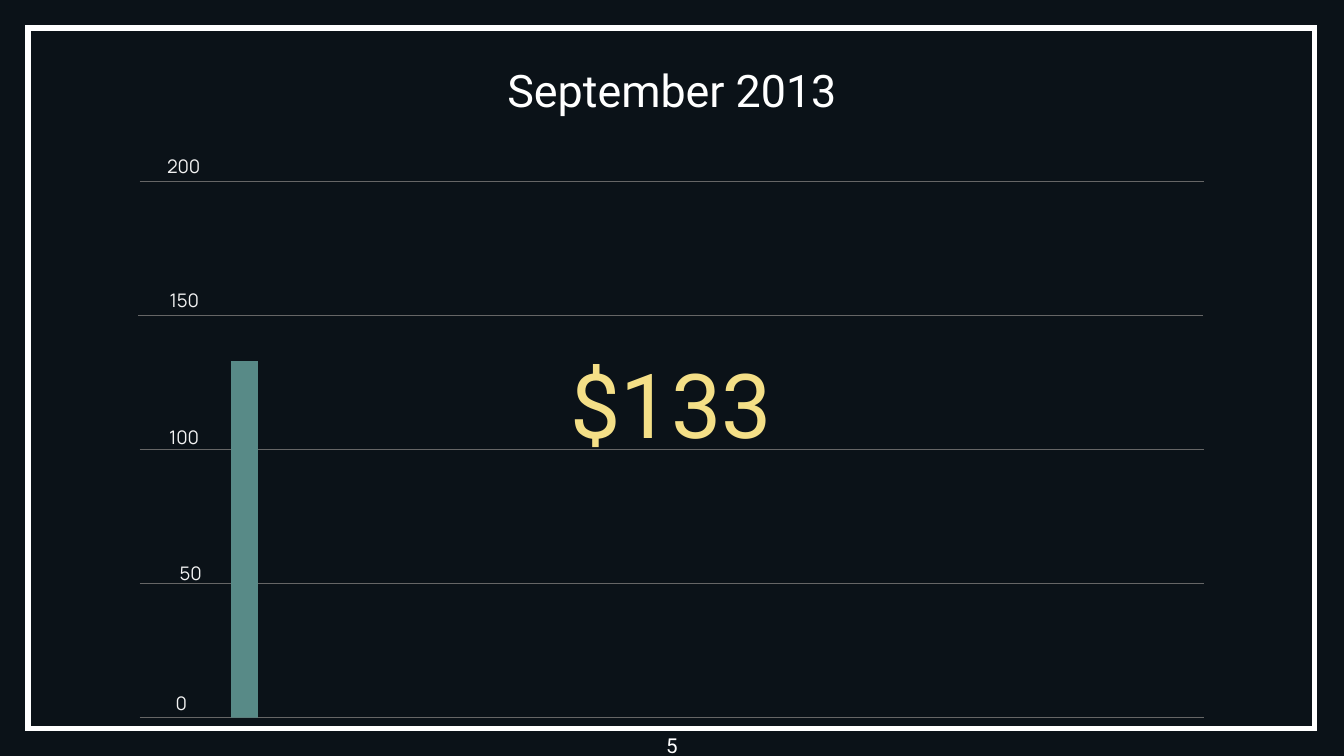
from dataclasses import dataclass

import pptx
import pptx.dml.color
import pptx.enum.shapes
import pptx.enum.text
import pptx.oxml
import pptx.oxml.ns
import pptx.util
from pptx.dml.color import RGBColor
from pptx.util import Inches

BACKGROUND = RGBColor(0x11, 0x11, 0x11)
NAVY = RGBColor(0x02, 0x15, 0x26)
WHITE = RGBColor(0xFF, 0xFF, 0xFF)
GRID_GRAY = RGBColor(0x66, 0x66, 0x66)
LABEL_GRAY = RGBColor(0xF3, 0xF3, 0xF3)
TEAL = RGBColor(0x58, 0x8A, 0x87)
YELLOW = RGBColor(0xF4, 0xDF, 0x87)

ALIGN = pptx.enum.text.PP_ALIGN
ANCHOR = pptx.enum.text.MSO_ANCHOR

SLIDE_WIDTH = 10
SLIDE_HEIGHT = SLIDE_WIDTH * 9 / 16

AXIS_TOP, AXIS_BOTTOM, AXIS_MAXIMUM = 1.35, 5.34, 200
GRID_WIDTH = 7.92
LABEL_WIDTH, LABEL_HEIGHT = 0.45, 0.2
BAR_LEFT, BAR_WIDTH, BAR_VALUE = 1.72, 0.2, 133


@dataclass(frozen=True)
class Box:
    left: float
    top: float
    width: float
    height: float

    def lengths(self) -> tuple:
        return tuple(map(Inches, (self.left, self.top, self.width, self.height)))


@dataclass(frozen=True)
class TextStyle:
    font: str
    size: float
    color: RGBColor
    align: ALIGN = ALIGN.CENTER
    anchor: ANCHOR = ANCHOR.TOP
    inset: float = 0.1


@dataclass(frozen=True)
class Tick:
    value: int
    line_left: float
    label_right: float
    label_top: float


TITLE = TextStyle("Roboto", 24, WHITE)
PAGE_NUMBER = TextStyle("Roboto", 11, WHITE)
AMOUNT = TextStyle("Roboto", 48, YELLOW, anchor=ANCHOR.MIDDLE)
TICK_LABEL = TextStyle("Manrope", 10, LABEL_GRAY, ALIGN.RIGHT, inset=0)

TICKS = [
    Tick(200, 1.04, 1.49, 1.15),
    Tick(150, 1.03, 1.48, 2.15),
    Tick(100, 1.04, 1.48, 3.17),
    Tick(50, 1.04, 1.5, 4.18),
    Tick(0, 1.04, 1.39, 5.15),
]


def value_to_y(value: float) -> float:
    return AXIS_BOTTOM - (AXIS_BOTTOM - AXIS_TOP) * value / AXIS_MAXIMUM


def add_drawing_element(parent, tag: str, attributes: str = "") -> None:
    namespace = pptx.oxml.ns.nsdecls("a")
    parent.append(pptx.oxml.parse_xml(f"<a:{tag} {namespace} {attributes}/>"))


def add_rectangle(slide, box: Box, fill: RGBColor | None = None,
                  line: RGBColor | None = None, line_width: float = 0):
    shape = slide.shapes.add_shape(
        pptx.enum.shapes.MSO_SHAPE.RECTANGLE, *box.lengths())
    shape.shadow.inherit = False
    if fill is None:
        shape.fill.background()
    else:
        shape.fill.solid()
        shape.fill.fore_color.rgb = fill
    if line is None:
        shape.line.fill.background()
    else:
        shape.line.color.rgb = line
        shape.line.width = pptx.util.Pt(line_width)
        outline = shape._element.spPr.find(pptx.oxml.ns.qn("a:ln"))
        add_drawing_element(outline, "miter", 'lim="800000"')
    return shape


def set_opacity(shape, percent: int) -> None:
    color = shape._element.spPr.find(".//" + pptx.oxml.ns.qn("a:srgbClr"))
    add_drawing_element(color, "alpha", f'val="{percent * 1000}"')


def add_text(slide, box: Box, text: str, style: TextStyle) -> None:
    frame = slide.shapes.add_textbox(*box.lengths()).text_frame
    frame.word_wrap = True
    frame.vertical_anchor = style.anchor
    frame.margin_left = frame.margin_right = Inches(style.inset)
    frame.margin_top = frame.margin_bottom = Inches(style.inset)
    paragraph = frame.paragraphs[0]
    paragraph.text = text
    paragraph.alignment = style.align
    paragraph.font.name = style.font
    paragraph.font.size = pptx.util.Pt(style.size)
    paragraph.font.color.rgb = style.color


def add_grid_line(slide, left: float, y: float) -> None:
    connector = slide.shapes.add_connector(
        pptx.enum.shapes.MSO_CONNECTOR.STRAIGHT,
        Inches(left), Inches(y), Inches(left + GRID_WIDTH), Inches(y))
    connector.line.color.rgb = GRID_GRAY
    connector.line.width = pptx.util.Pt(0.75)
    add_drawing_element(connector._element.spPr, "effectLst")


def main() -> None:
    presentation = pptx.Presentation()
    presentation.slide_width = Inches(SLIDE_WIDTH)
    presentation.slide_height = Inches(SLIDE_HEIGHT)
    slide = presentation.slides.add_slide(presentation.slide_layouts[6])

    # Background tint and frame
    slide.background.fill.solid()
    slide.background.fill.fore_color.rgb = BACKGROUND
    tint = add_rectangle(slide, Box(0, 0, SLIDE_WIDTH, SLIDE_HEIGHT), fill=NAVY)
    set_opacity(tint, 38)
    add_rectangle(slide, Box(0.21, 0.21, 9.57, 5.21), line=WHITE, line_width=3)

    # Title and page number
    add_text(slide, Box(0.5, 0.37, 9, 0.57), "September 2013", TITLE)
    add_text(slide, Box(0, 5.36, 10, 0.23), "5", PAGE_NUMBER)

    # Axis
    for tick in TICKS:
        add_grid_line(slide, tick.line_left, value_to_y(tick.value))
        label = Box(tick.label_right - LABEL_WIDTH, tick.label_top,
                    LABEL_WIDTH, LABEL_HEIGHT)
        add_text(slide, label, str(tick.value), TICK_LABEL)

    # Bar and its amount
    bar_top = value_to_y(BAR_VALUE)
    add_rectangle(slide, Box(BAR_LEFT, bar_top, BAR_WIDTH, AXIS_BOTTOM - bar_top),
                  fill=TEAL)
    add_text(slide, Box(4.01, 2.36, 1.97, 1.27), f"${BAR_VALUE}", AMOUNT)

    presentation.save("out.pptx")


if __name__ == "__main__":
    main()
